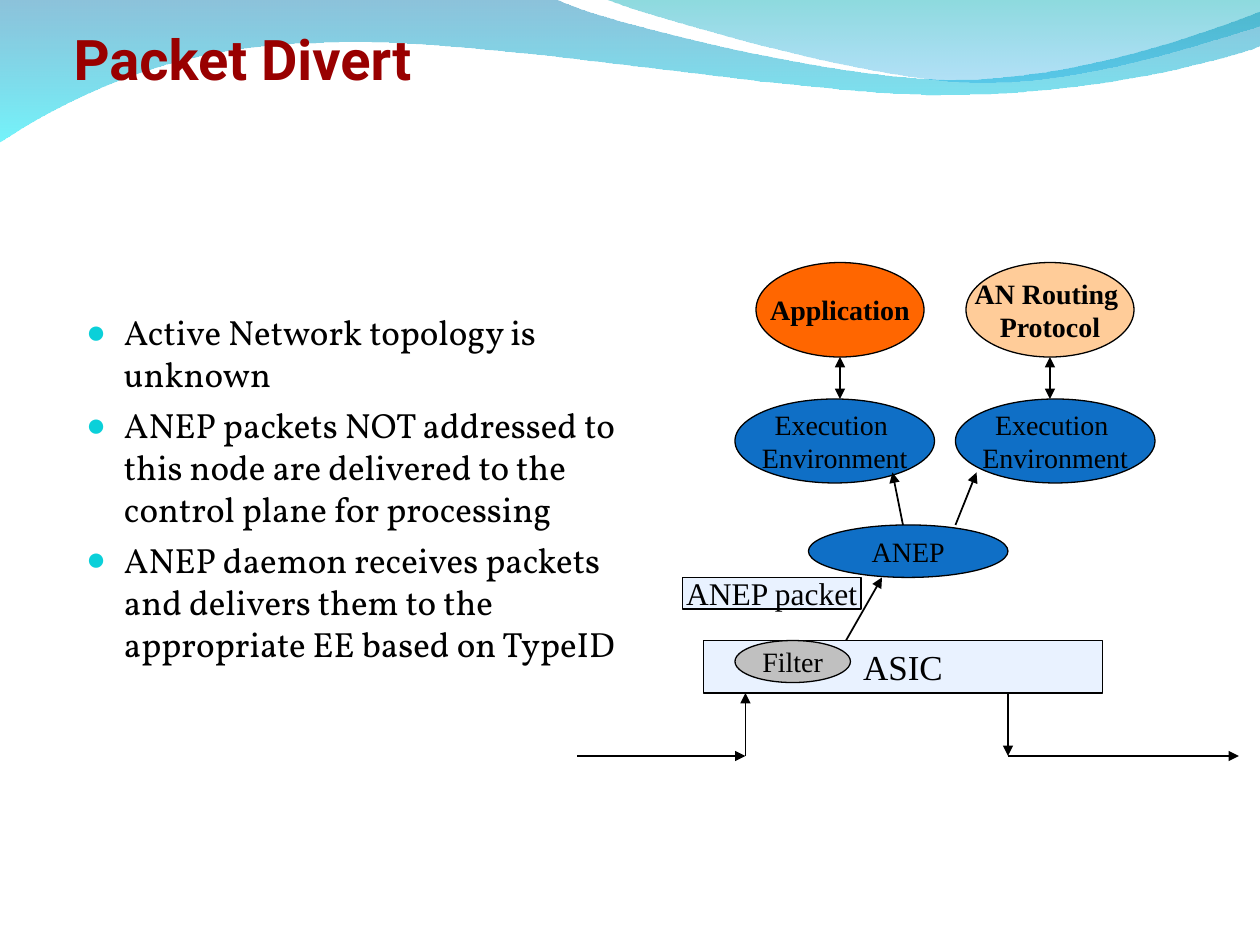
from lxml import etree
from pptx import Presentation
from pptx.dml.color import RGBColor
from pptx.enum.shapes import MSO_CONNECTOR as Connector, MSO_SHAPE as Shape
from pptx.enum.text import MSO_ANCHOR as Anchor, MSO_AUTO_SIZE as AutoSize, PP_ALIGN as Align
from pptx.oxml.ns import qn
from pptx.util import Inches, Pt

COLORS = {
    "black": "000000", "title": "990000", "bullet": "0BD0D9", "panel": "E9F2FF",
    "filter": "C0C0C0", "blue": "0F6FC6", "peach": "FFCC99", "orange": "FF6600",
    "wave_top": "0079AF", "wave_low": "00EBF8", "crest_top": "00ADB6", "crest_low": "009BE5",
}
CELL = 1 / 12  # grid step of the page, in inches
BODY_SERIF = "Times New Roman"


def rgb(name):
    return RGBColor.from_string(COLORS[name])


def add_bullet(para, indent):
    props = para._p.get_or_add_pPr()
    props.set("marL", str(Inches(indent)))
    props.set("indent", str(-Inches(indent)))
    color = etree.SubElement(props, qn("a:buClr"))
    etree.SubElement(color, qn("a:srgbClr"), val=COLORS["bullet"])
    etree.SubElement(props, qn("a:buSzPct"), val="95000")
    etree.SubElement(props, qn("a:buChar"), char="●")


def write_text(shape, lines, font, size, color="black", bold=False, align=Align.LEFT,
               anchor=Anchor.TOP, wrap=True, bullet_indent=None, gap=0):
    frame = shape.text_frame
    frame.auto_size = AutoSize.NONE
    frame.word_wrap = wrap
    frame.vertical_anchor = anchor
    for index, line in enumerate(lines):
        para = frame.paragraphs[0] if index == 0 else frame.add_paragraph()
        para.alignment = align
        para.space_before = Pt(gap if index else 0)
        if bullet_indent:
            add_bullet(para, bullet_indent)
        span = para.add_run()
        span.text = line
        span.font.name, span.font.size, span.font.bold = font, Pt(size), bold
        span.font.color.rgb = rgb(color)


def place(shape, box):
    shape.left, shape.top, shape.width, shape.height = map(Inches, box)


def bend_segments(shape, segments):
    """Turn each run of three straight steps into one cubic curve."""
    steps = iter(list(shape._element.iter(qn("a:lnTo"))))
    for segment in segments:
        group = [next(steps) for _ in segment]
        if len(group) == 3:
            curve = etree.Element(qn("a:cubicBezTo"))
            group[0].addprevious(curve)
            for step in group:
                curve.append(step[0])
                step.getparent().remove(step)


def add_wave(page, depth, start, segments, stops):
    """Draw a closed outline, given in hundredths of an inch."""
    builder = page.shapes.build_freeform(*start, scale=Inches(0.01))
    builder.add_line_segments([point for segment in segments for point in segment])
    wave = builder.convert_to_shape()
    bend_segments(wave, segments)
    outline = next(wave._element.iter(qn("a:path")))
    etree.SubElement(outline, qn("a:close"))
    wave.shadow.inherit = False
    wave.line.fill.background()
    wave.fill.gradient()
    wave.fill.gradient_angle = 270
    for stop, (position, color, opacity) in zip(wave.fill.gradient_stops, stops):
        stop.position = position
        stop.color.rgb = rgb(color)
        tint = stop._gs.find(qn("a:srgbClr"))
        etree.SubElement(tint, qn("a:alpha"), val=str(opacity * 1000))
    # Keep the waves behind the placeholders
    page.shapes._spTree.insert(2 + depth, wave._element)


def add_waves(page):
    add_wave(page, 0, (0, -1), [
        [(440, -1)],
        [(476, 17), (664, 63), (758, 63)],
        [(853, 63), (958, 26), (1000, 9)],
        [(1001, 36)],
        [(983, 44), (870, 76), (746, 75)],
        [(622, 75), (382, 28), (257, 34)],
        [(129, 35), (46, 83), (-1, 113)],
    ], [(0, "wave_top", 45), (1, "wave_low", 55)])
    add_wave(page, 1, (479, -1), [
        [(509, 11), (682, 62), (769, 65)],
        [(856, 69), (961, 32), (1000, 21)],
        [(1000, 0)],
    ], [(0, "crest_top", 45), (1, "crest_low", 30)])


def add_title(page, box):
    title = page.shapes.title
    place(title, box)
    frame = title.text_frame
    frame.margin_left = frame.margin_right = frame.margin_bottom = 0
    write_text(title, ["Packet Divert"], "Roboto", 32, color="title", bold=True,
               anchor=Anchor.BOTTOM)


def add_points(page, box):
    body = page.placeholders[1]
    place(body, box)
    write_text(body, [
        "Active Network topology is unknown",
        "ANEP packets NOT addressed to this node are delivered to the control plane for processing",
        "ANEP daemon receives packets and delivers them to the appropriate EE based on TypeID",
    ], "Vollkorn", 20, bullet_indent=0.3, gap=5)


def add_diagram(page, left, top):
    """Packet path; parts are placed in grid columns and rows from left, top."""

    def node(kind, cells, lines, fill, size=16, bold=False):
        column, row, columns, rows = cells
        shape = page.shapes.add_shape(kind, 0, 0, 0, 0)
        place(shape, (left + column * CELL, top + row * CELL, columns * CELL, rows * CELL))
        shape.shadow.inherit = False
        shape.fill.solid()
        shape.fill.fore_color.rgb = rgb(fill)
        shape.line.color.rgb = rgb("black")
        shape.line.width = Pt(1 if kind == Shape.RECTANGLE else 0.75)
        write_text(shape, lines, BODY_SERIF, size, bold=bold, align=Align.CENTER,
                   anchor=Anchor.MIDDLE, wrap=False)

    def arrow(x1, y1, x2, y2, both=False):
        link = page.shapes.add_connector(
            Connector.STRAIGHT, Inches(left + x1 * CELL), Inches(top + y1 * CELL),
            Inches(left + x2 * CELL), Inches(top + y2 * CELL))
        link.line.color.rgb = rgb("black")
        link.line.width = Pt(1)
        outline = link.line._get_or_add_ln()
        for end in ("a:headEnd", "a:tailEnd") if both else ("a:tailEnd",):
            etree.SubElement(outline, qn(end), type="triangle")
        etree.SubElement(link._element.spPr, qn("a:effectLst"))

    # Forwarding hardware and the packet path through it
    arrow(0, 47, 16, 47)
    arrow(25, 37, 29, 30)
    node(Shape.RECTANGLE, (12, 36, 38, 5), ["ASIC"], "panel", size=20)
    node(Shape.OVAL, (15, 36, 11, 4), ["Filter"], "filter")
    arrow(16, 47, 16, 41)
    arrow(41, 47, 63, 47)
    arrow(41, 41, 41, 47)

    # Daemon and execution environments
    node(Shape.OVAL, (22, 25, 19, 5), ["ANEP"], "blue")
    for column in (36, 15):
        node(Shape.OVAL, (column, 13, 19, 8), ["Execution ", "Environment"], "blue")
    arrow(36, 25, 38, 20)
    arrow(31, 25, 30, 20)
    for column in (45, 25):
        arrow(column, 13, column, 9, both=True)

    # Packet label and applications
    node(Shape.RECTANGLE, (10, 30, 17, 3), ["ANEP packet"], "panel", size=18)
    node(Shape.OVAL, (37, 0, 16, 9), ["AN Routing ", "Protocol"], "peach", bold=True)
    node(Shape.OVAL, (17, 0, 16, 9), ["Application"], "orange", bold=True)


def main():
    deck = Presentation()
    deck.slide_width, deck.slide_height = Inches(10), Inches(7.5)
    page = deck.slides.add_slide(deck.slide_layouts[1])
    add_waves(page)
    add_title(page, (7 * CELL, 3 * CELL, 107 * CELL, 0.48))
    add_points(page, (7 * CELL, 29 * CELL, 56 * CELL, 50 * CELL))
    add_diagram(page, 55 * CELL, 25 * CELL)
    deck.save("out.pptx")


if __name__ == "__main__":
    main()
